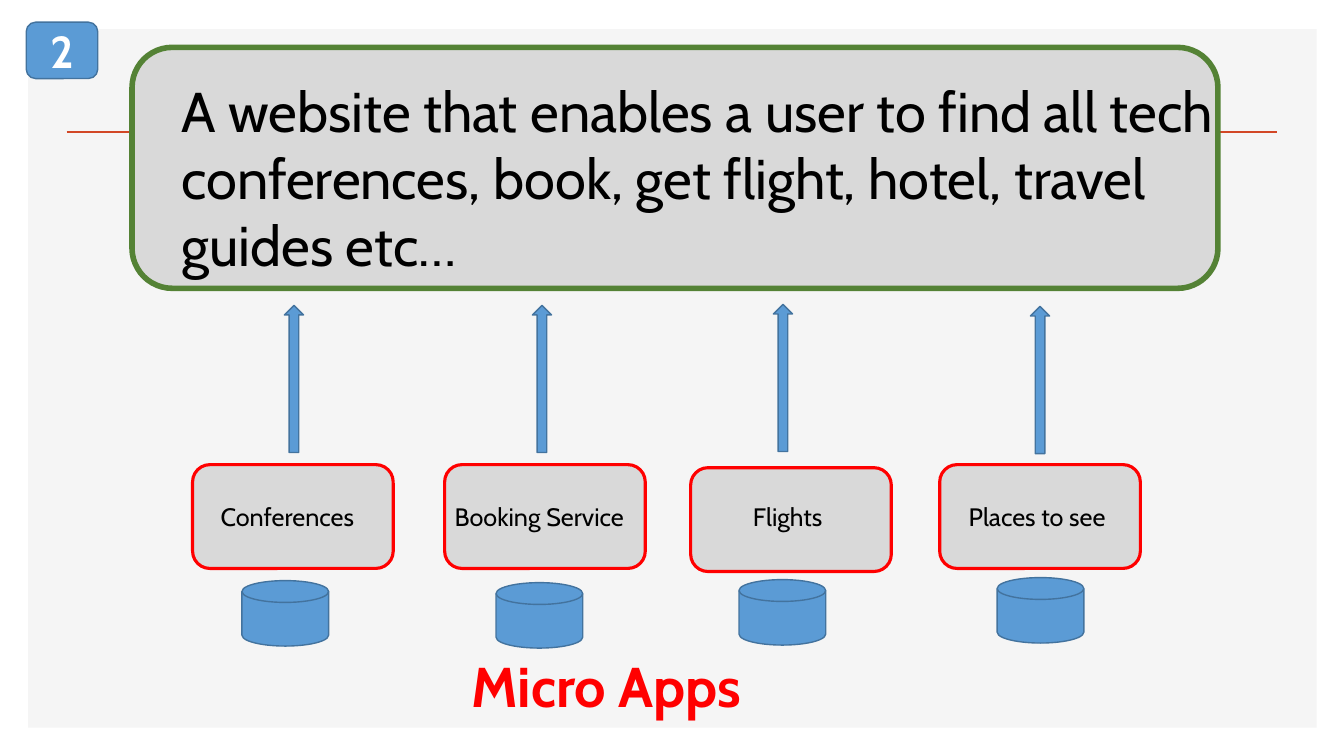
from pptx import Presentation
from pptx.dml.color import RGBColor
from pptx.enum.shapes import MSO_CONNECTOR, MSO_SHAPE
from pptx.enum.text import MSO_ANCHOR, MSO_AUTO_SIZE, PP_ALIGN
from pptx.oxml.ns import qn
from pptx.util import Inches, Pt
from lxml.etree import SubElement

BACKDROP = RGBColor(0xF5, 0xF5, 0xF5)
GREY = RGBColor(0xD9, 0xD9, 0xD9)
ORANGE = RGBColor(0xD2, 0x47, 0x26)
GREEN = RGBColor(0x54, 0x82, 0x35)
RED = RGBColor(0xFF, 0x00, 0x00)
BLUE = RGBColor(0x5B, 0x9B, 0xD5)
DARK_BLUE = RGBColor(0x43, 0x73, 0x9E)
BLACK = RGBColor(0x00, 0x00, 0x00)
WHITE = RGBColor(0xFF, 0xFF, 0xFF)

deck = Presentation()
deck.slide_width, deck.slide_height = Inches(13.33), Inches(7.5)
page = deck.slides.add_slide(deck.slide_layouts[5])


def add_block(kind, left, top, width, height, fill, line=None, weight=1):
    block = page.shapes.add_shape(
        kind, Inches(left), Inches(top), Inches(width), Inches(height))
    block.shadow.inherit = False
    block.fill.solid()
    block.fill.fore_color.rgb = fill
    if line is None:
        block.line.fill.background()
    else:
        block.line.color.rgb = line
        block.line.width = Pt(weight)
    return block


def write(box, text, size, color=BLACK, bold=False, align=PP_ALIGN.LEFT,
          anchor=MSO_ANCHOR.TOP):
    frame = box.text_frame
    frame.text = text
    frame.word_wrap = True
    frame.auto_size = MSO_AUTO_SIZE.NONE
    frame.vertical_anchor = anchor
    para = frame.paragraphs[0]
    para.alignment = align
    font = para.runs[0].font
    font.name, font.size, font.bold = "Cabin", Pt(size), bold
    font.color.rgb = color


# Backdrop and rule
add_block(MSO_SHAPE.RECTANGLE, 0.28, 0.29, 12.78, 6.93, BACKDROP)
rule = page.shapes.add_connector(
    MSO_CONNECTOR.STRAIGHT, Inches(0.66), Inches(1.31), Inches(12.67), Inches(1.31))
rule.line.color.rgb = ORANGE
rule.line.width = Pt(2)
SubElement(rule._element.spPr, qn("a:effectLst"))

# Website panel, with the title brought in front of it
add_block(MSO_SHAPE.ROUNDED_RECTANGLE, 1.31, 0.47, 10.77, 2.39, GREY, GREEN, 4)
title = page.shapes.title
title.left, title.top = Inches(1.7), Inches(0.71)
title.width, title.height = Inches(10.61), Inches(2.12)
write(title, "A website that enables a user to find all tech conferences, "
      "book, get flight, hotel, travel guides etc…", 40)
page.shapes._spTree.append(title._element)

# Micro apps: name, card left, card top, label left, label width,
# arrow left, arrow top, database left, database top
apps = [
    ("Conferences", 1.91, 4.61, 2.09, 1.63, 2.82, 3.03, 2.4, 5.76),
    ("Booking Service", 4.41, 4.61, 4.41, 1.99, 5.28, 3.03, 4.92, 5.78),
    ("Flights", 6.85, 4.64, 7.37, 0.97, 7.67, 3.02, 7.33, 5.75),
    ("Places to see", 9.32, 4.61, 9.51, 1.63, 10.22, 3.04, 9.89, 5.73),
]
for (name, card_left, card_top, label_left, label_width,
     arrow_left, arrow_top, disk_left, disk_top) in apps:
    add_block(MSO_SHAPE.ROUNDED_RECTANGLE, card_left, card_top, 1.99, 1.03,
              GREY, RED, 2.25)
    label = page.shapes.add_textbox(
        Inches(label_left), Inches(4.92), Inches(label_width), Inches(0.4))
    write(label, name, 18)
    add_block(MSO_SHAPE.UP_ARROW, arrow_left, arrow_top, 0.19, 1.46, BLUE, DARK_BLUE)
    add_block(MSO_SHAPE.FLOWCHART_MAGNETIC_DISK, disk_left, disk_top, 0.86, 0.65,
              BLUE, DARK_BLUE)

# Caption
caption = page.shapes.add_textbox(Inches(4.58), Inches(6.41), Inches(3.64), Inches(0.77))
write(caption, "Micro Apps", 40, RED, bold=True)

# Number badge
badge = add_block(MSO_SHAPE.ROUNDED_RECTANGLE, 0.26, 0.22, 0.71, 0.56, BLUE, DARK_BLUE)
write(badge, "2", 32, WHITE, bold=True, align=PP_ALIGN.CENTER, anchor=MSO_ANCHOR.MIDDLE)

deck.save("out.pptx")
